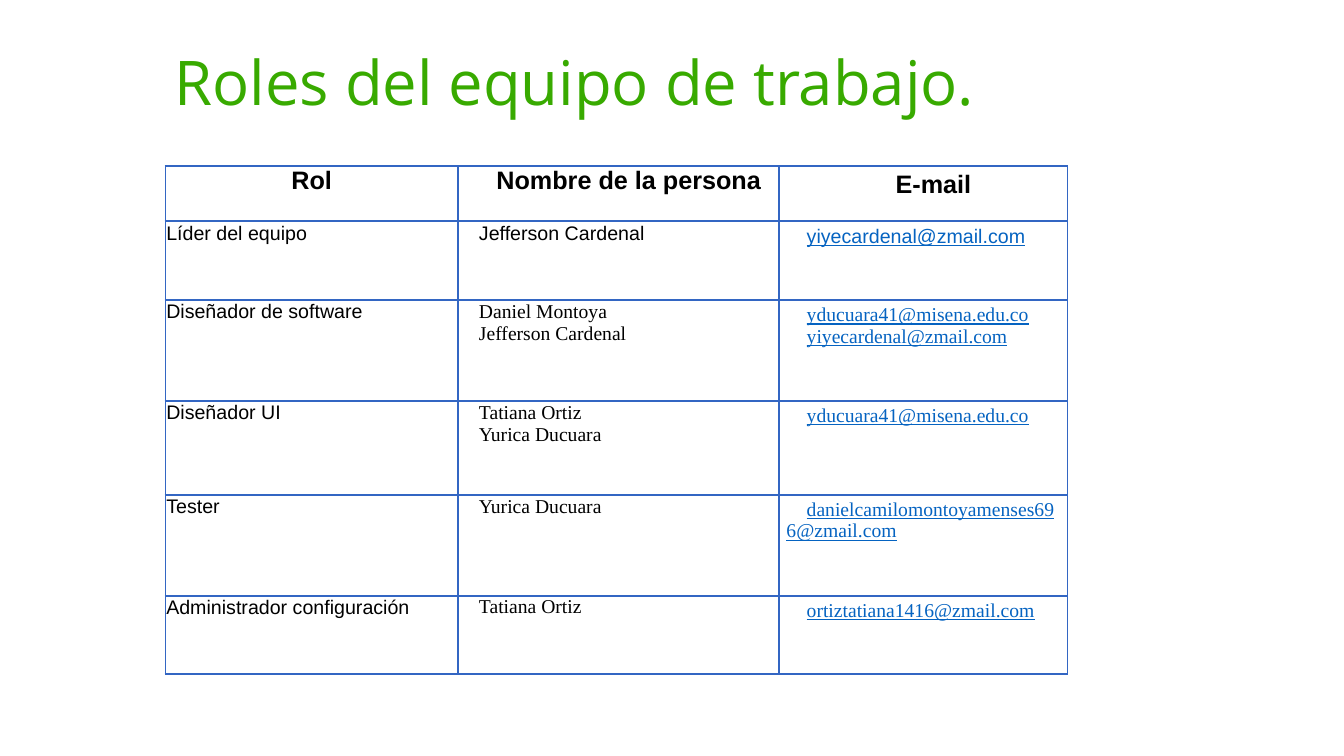
from dataclasses import dataclass

from lxml.etree import SubElement
from pptx import Presentation
from pptx.dml.color import RGBColor
from pptx.enum.text import MSO_ANCHOR, MSO_AUTO_SIZE, PP_ALIGN
from pptx.oxml.ns import qn
from pptx.util import Cm, Pt


@dataclass(frozen=True)
class Theme:
    green: str = "38AA00"
    black: str = "000000"
    link: str = "0563C1"
    rule: str = "3366C3"
    title: int = 44
    head: int = 18
    body: int = 14
    line: float = 1.5
    display: str = "Open Sans"
    sans: str = "Arial"
    serif: str = "Times New Roman"


THEME = Theme()

HEADS = ["Rol", "Nombre de la persona", "E-mail"]
# Role, names, addresses, font of the names and addresses
TEAM = [
    ("Líder del equipo", ["Jefferson Cardenal"],
     ["yiyecardenal@zmail.com"], THEME.sans),
    ("Diseñador de software", ["Daniel Montoya", "Jefferson Cardenal"],
     ["yducuara41@misena.edu.co", "yiyecardenal@zmail.com"], THEME.serif),
    ("Diseñador UI", ["Tatiana Ortiz", "Yurica Ducuara"],
     ["yducuara41@misena.edu.co"], THEME.serif),
    ("Tester", ["Yurica Ducuara"],
     ["danielcamilomontoyamenses696@zmail.com"], THEME.serif),
    ("Administrador configuración", ["Tatiana Ortiz"],
     ["ortiztatiana1416@zmail.com"], THEME.serif),
]
WIDTHS = [7.37, 8.1, 7.26]
HEIGHTS = [1.39, 1.99, 2.54, 2.36, 2.54, 1.98]


def write(frame, lines, font=THEME.sans, size=THEME.body, color=THEME.black,
          bold=False, under=False, align=PP_ALIGN.LEFT, indent=0, spacing=1.0):
    """Fill a text frame with one paragraph for each line."""
    for i, line in enumerate(lines):
        para = frame.add_paragraph() if i else frame.paragraphs[0]
        para.alignment = align
        para.line_spacing = spacing
        props = para._p.get_or_add_pPr()
        props.set("marL", "0")
        props.set("indent", str(Cm(indent)))
        run = para.add_run()
        run.text = line
        run.font.name = font
        run.font.size = Pt(size)
        run.font.bold = bold
        run.font.underline = under
        run.font.color.rgb = RGBColor.from_string(color)


def border(cell):
    props = cell._tc.get_or_add_tcPr()
    for i, side in enumerate(("lnL", "lnR", "lnT", "lnB")):
        line = SubElement(props, qn(f"a:{side}"), w=str(Pt(THEME.line)))
        fill = SubElement(line, qn("a:solidFill"))
        SubElement(fill, qn("a:srgbClr"), val=THEME.rule)
        props.insert(i, line)


def place(cell, col, lines, **style):
    """Style one cell by its column, then write its lines."""
    wide, tall = (0.18, 0.1) if col == 2 else (0.02, 0.02)
    cell.margin_left = cell.margin_right = Cm(wide)
    cell.margin_top = cell.margin_bottom = Cm(tall)
    cell.vertical_anchor = MSO_ANCHOR.TOP
    cell.fill.background()
    border(cell)
    write(cell.text_frame, lines, indent=0.51 if col else 0, **style)


def heading(slide, left, top, width, height):
    title = slide.shapes.title
    title.left, title.top = Cm(left), Cm(top)
    title.width, title.height = Cm(width), Cm(height)
    frame = title.text_frame
    frame.auto_size = MSO_AUTO_SIZE.NONE
    frame.vertical_anchor = MSO_ANCHOR.MIDDLE
    write(frame, ["Roles del equipo de trabajo."], font=THEME.display,
          size=THEME.title, color=THEME.green, spacing=0.9)


def roles(slide, left, top):
    table = slide.shapes.add_table(
        len(HEIGHTS), len(WIDTHS), Cm(left), Cm(top),
        Cm(sum(WIDTHS)), Cm(sum(HEIGHTS))).table
    table.horz_banding = False
    for col, width in zip(table.columns, WIDTHS):
        col.width = Cm(width)
    for row, height in zip(table.rows, HEIGHTS):
        row.height = Cm(height)
    for col, text in enumerate(HEADS):
        place(table.cell(0, col), col, [text], size=THEME.head, bold=True,
              align=PP_ALIGN.CENTER)
    for row, (role, names, mails, font) in enumerate(TEAM, 1):
        place(table.cell(row, 0), 0, [role])
        place(table.cell(row, 1), 1, names, font=font)
        place(table.cell(row, 2), 2, mails, font=font, color=THEME.link,
              under=True)


def main():
    deck = Presentation()
    deck.slide_width, deck.slide_height = Cm(33.87), Cm(19.05)
    slide = deck.slides.add_slide(deck.slide_layouts[5])
    heading(slide, 4.14, 1.22, 22.33, 1.88)
    roles(slide, 4.17, 4.19)
    deck.save("out.pptx")


if __name__ == "__main__":
    main()
